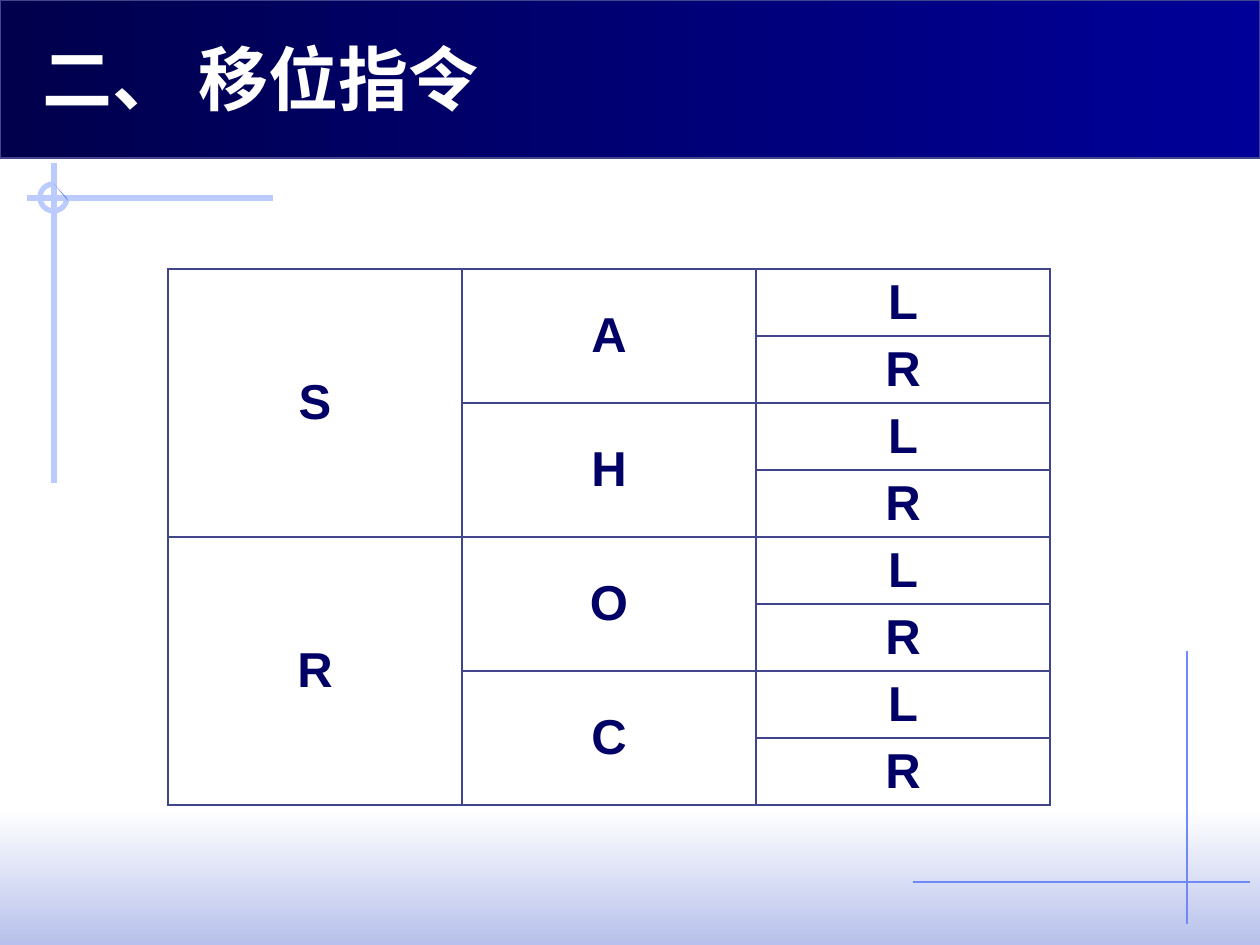
from pptx import Presentation, util as u
from pptx.dml.color import RGBColor
from pptx.enum import shapes as sh, text as tx
from pptx.oxml import parse_xml
from pptx.oxml.ns import nsdecls

PX = 914400 / 126
HUES = {"white": "FFFFFF", "mist": "B7C1EB", "night": "00004D", "blue": "000099",
        "edge": "40458C", "pale": "BBCBFD", "sky": "6F89F7", "ink": "000066"}


def px(*nums):
    return [u.Emu(round(n * PX)) for n in nums]


def write(frame, words, font="Arial", size=28, hue="ink", align="CENTER"):
    para = frame.paragraphs[0]
    para.alignment = getattr(tx.PP_ALIGN, align)
    run = para.add_run()
    run.text = words
    run.font.name, run.font.size, run.font.bold = font, u.Pt(size), True
    run.font.color.rgb = RGBColor.from_string(HUES[hue])
    run.font._element.get_or_add_latin().addnext(
        parse_xml(f'<a:ea {nsdecls("a")} typeface="{font}"/>'))


deck = Presentation()
deck.slide_width, deck.slide_height = px(1260, 945)
slide = deck.slides.add_slide(deck.slide_layouts[5])
items = slide.shapes
title = items.title

bands = [((0, 809, 1260, 136), "white", "mist", 270, None),
         ((0, 0, 1260, 158), "night", "blue", 0, "edge")]
for box, start, end, angle, edge in bands:
    band = items.add_shape(sh.MSO_SHAPE.RECTANGLE, *px(*box))
    band.shadow.inherit = False
    band.fill.gradient()
    band.fill.gradient_angle = angle
    for stop, hue in zip(band.fill.gradient_stops, (start, end)):
        stop.color.rgb = RGBColor.from_string(HUES[hue])
    if edge:
        band.line.color.rgb = RGBColor.from_string(HUES[edge])
        band.line.width = u.Pt(0.75)
    else:
        band.line.fill.background()

rules = [((273, 198, 27, 198), "pale", 3), ((54, 163, 54, 483), "pale", 3),
         ((1187, 651, 1187, 924), "sky", 0.75), ((913, 882, 1250, 882), "sky", 0.75)]
for ends, hue, width in rules:
    rule = items.add_connector(sh.MSO_CONNECTOR.STRAIGHT, *px(*ends))
    rule.line.color.rgb = RGBColor.from_string(HUES[hue])
    rule.line.width = u.Pt(width)
    rule._element.spPr.append(parse_xml(f'<a:effectLst {nsdecls("a")}/>'))

ring = items.add_shape(sh.MSO_SHAPE.ARC, *px(40, 184, 27, 27))
ring.shadow.inherit = False
ring.adjustments[0], ring.adjustments[1] = 0, 162
ring.fill.background()
ring.line.color.rgb = RGBColor.from_string(HUES["pale"])
ring.line.width = u.Pt(3)

pen = items.build_freeform(54, 184, scale=PX)
pen.add_line_segments([(67, 198), (68, 201)])
chip = pen.convert_to_shape()
chip.shadow.inherit = False
chip.fill.solid()
chip.fill.fore_color.rgb = RGBColor.from_string(HUES["sky"])
chip.line.fill.background()

items._spTree.append(title._element)
title.left, title.top, title.width, title.height = px(30, 10, 1071, 116)
title.text_frame.vertical_anchor = tx.MSO_ANCHOR.BOTTOM
title.text_frame.auto_size = tx.MSO_AUTO_SIZE.NONE
write(title.text_frame, "二、 移位指令", "Noto Sans CJK JP", 40, "white", "LEFT")

grid = items.add_table(8, 3, *px(168, 269, 882, 536)).table
grid.first_row = grid.horz_banding = False
for col in grid.columns:
    col.width = px(294)[0]
for row in grid.rows:
    row.height = px(67)[0]
for cell in grid.iter_cells():
    cell.fill.background()
    cell.margin_top = cell.margin_bottom = px(5)[0]
    cell.vertical_anchor = tx.MSO_ANCHOR.MIDDLE
    props = cell._tc.get_or_add_tcPr()
    for at, side in enumerate("LRTB"):
        props.insert(at, parse_xml(
            f'<a:ln{side} {nsdecls("a")} w="12700"><a:solidFill>'
            f'<a:srgbClr val="{HUES["edge"]}"/></a:solidFill></a:ln{side}>'))
for col, marks in enumerate(("SR", "AHOC", "LRLRLRLR")):
    span = 8 // len(marks)
    for at, mark in enumerate(marks):
        cell = grid.cell(at * span, col)
        if span > 1:
            cell.merge(grid.cell(at * span + span - 1, col))
        write(cell.text_frame, mark)

deck.save("out.pptx")
